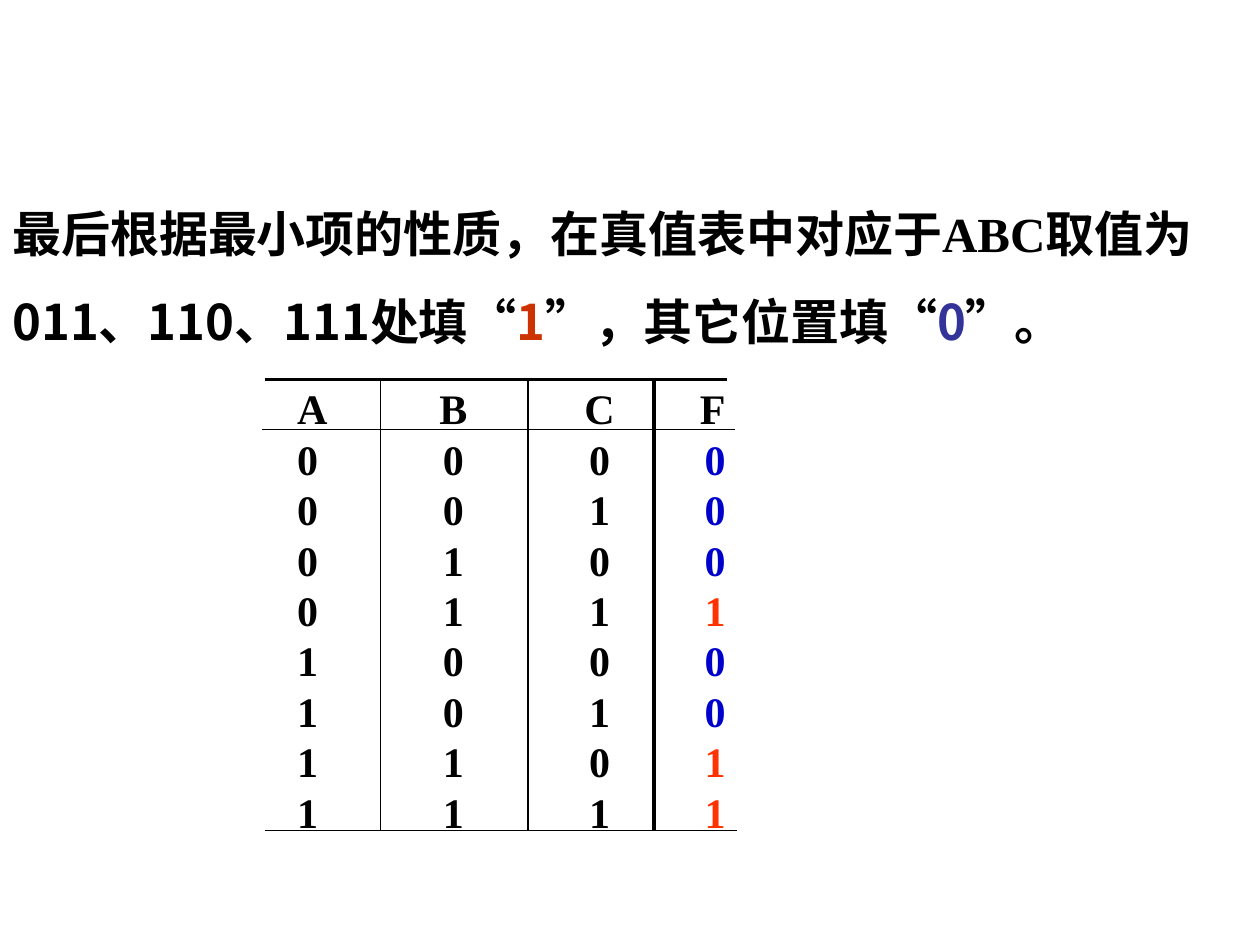
from lxml import etree
from pptx import Presentation
from pptx.dml.color import RGBColor
from pptx.enum.shapes import MSO_CONNECTOR
from pptx.oxml.ns import qn
from pptx.util import Inches, Pt

STRAIGHT = MSO_CONNECTOR.STRAIGHT

BLACK = RGBColor(0x00, 0x00, 0x00)
ZERO_BLUE = RGBColor(0x00, 0x00, 0xCC)
ONE_RED = RGBColor(0xFF, 0x33, 0x00)
QUOTED_RED = RGBColor(0xCC, 0x33, 0x00)
QUOTED_BLUE = RGBColor(0x33, 0x33, 0x99)

HAN = "Noto Sans CJK SC"
ROMAN = "Times New Roman"

SENTENCE = [
    ("最后根据最小项的性质，在真值表中对应于", HAN, BLACK),
    ("ABC", ROMAN, BLACK),
    ("取值为011、110、111处填“", HAN, BLACK),
    ("1", HAN, QUOTED_RED),
    ("”，其它位置填“", HAN, BLACK),
    ("0", HAN, QUOTED_BLUE),
    ("”。", HAN, BLACK),
]

MINTERMS = {0b011, 0b110, 0b111}
VALUE_COLORS = {"F": BLACK, "0": ZERO_BLUE, "1": ONE_RED}
TRUTH_ROWS = ["ABCF"] + [f"{n:03b}{int(n in MINTERMS)}" for n in range(8)]
COLUMN_TABS = [(1.24, "ctr"), (2.4, "ctr"), (3.4, "r")]
HORIZONTAL_RULES = [
    (0.02, 3.69, 0, 1.5),
    (0, 3.75, 0.4, 0.75),
    (0.02, 3.77, 3.58, 0.75),
]
VERTICAL_RULES = [(0.94, 0.75), (2.11, 0.75), (3.11, 2.25)]


def add_run(paragraph, text, font_name, size, color):
    run = paragraph.add_run()
    run.text = text
    run.font.size = Pt(size)
    run.font.bold = True
    run.font.color.rgb = color
    run.font.name = font_name
    east_asian = etree.SubElement(run.font._element, qn("a:ea"))
    east_asian.set("typeface", font_name)


def add_tabs(paragraph):
    tab_list = etree.SubElement(paragraph._p.get_or_add_pPr(), qn("a:tabLst"))
    for position, alignment in COLUMN_TABS:
        tab = etree.SubElement(tab_list, qn("a:tab"))
        tab.set("pos", str(Inches(position)))
        tab.set("algn", alignment)


def add_rule(slide, start_x, start_y, end_x, end_y, width):
    rule = slide.shapes.add_connector(STRAIGHT, start_x, start_y, end_x, end_y)
    rule.line.color.rgb = BLACK
    rule.line.width = Pt(width)
    etree.SubElement(rule._element.spPr, qn("a:effectLst"))


def add_sentence(slide, left, top, width, height):
    box = slide.shapes.add_textbox(left, top, width, height)
    box.text_frame.word_wrap = True
    paragraph = box.text_frame.paragraphs[0]
    paragraph.line_spacing = 1.5
    for text, font_name, color in SENTENCE:
        add_run(paragraph, text, font_name, 28, color)


def add_truth_values(slide, left, top, width, height):
    box = slide.shapes.add_textbox(left, top, width, height)
    frame = box.text_frame
    frame.word_wrap = True
    for index, (a, b, c, f) in enumerate(TRUTH_ROWS):
        paragraph = frame.add_paragraph() if index else frame.paragraphs[0]
        add_tabs(paragraph)
        paragraph.line_spacing = Pt(28.8)
        add_run(paragraph, f"{a}\t{b}\t{c}\t", ROMAN, 24, BLACK)
        add_run(paragraph, f, ROMAN, 24, VALUE_COLORS[f])


def add_truth_table(slide, left, top, height):
    add_truth_values(
        slide, left + Inches(0.18), top - Inches(0.02), Inches(3.61), Inches(3.7)
    )
    for start, end, offset, width in HORIZONTAL_RULES:
        y = top + Inches(offset)
        add_rule(slide, left + Inches(start), y, left + Inches(end), y, width)
    for offset, width in VERTICAL_RULES:
        x = left + Inches(offset)
        add_rule(slide, x, top, x, top + height, width)


def main():
    presentation = Presentation()
    presentation.slide_width = Inches(10)
    presentation.slide_height = Inches(7.5)
    slide = presentation.slides.add_slide(presentation.slide_layouts[6])
    add_truth_table(slide, Inches(2.08), Inches(3.01), Inches(3.58))
    add_sentence(slide, Inches(0), Inches(1.33), Inches(10), Inches(1.5))
    presentation.save("out.pptx")


if __name__ == "__main__":
    main()
